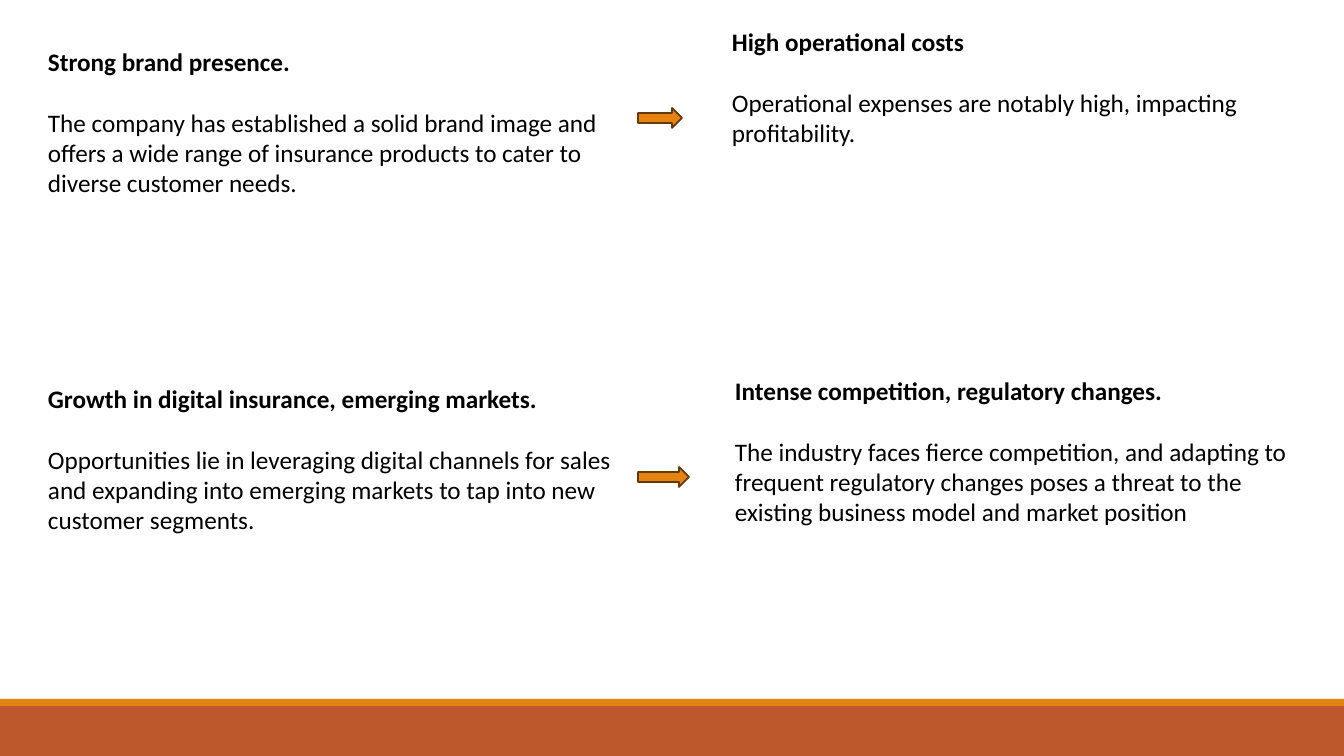
from pptx import Presentation
from pptx.dml.color import RGBColor
from pptx.enum.shapes import MSO_SHAPE
from pptx.enum.text import MSO_ANCHOR, MSO_AUTO_SIZE, PP_ALIGN
from pptx.util import Emu, Pt

SLIDE_WIDTH, SLIDE_HEIGHT = 1344, 756
EMU_PER_PX = 12192000 / SLIDE_WIDTH

BLACK = RGBColor(0x00, 0x00, 0x00)
ORANGE = RGBColor(0xE4, 0x83, 0x12)
RUST = RGBColor(0xBD, 0x58, 0x2C)
BROWN = RGBColor(0x64, 0x39, 0x08)

FONT = "Calibri"
TEXT_SIZE = Pt(18)
HEADING_GAP = Pt(22)

# Left, top, width, height, heading, detail
SWOT_POINTS = [
    (38, 41, 575, 194, "Strong brand presence.",
     "The company has established a solid brand image and offers a wide range "
     "of insurance products to cater to diverse customer needs."),
    (722, 21, 590, 194, "High operational costs",
     "Operational expenses are notably high, impacting profitability."),
    (38, 378, 587, 163, "Growth in digital insurance, emerging markets.",
     "Opportunities lie in leveraging digital channels for sales and expanding "
     "into emerging markets to tap into new customer segments."),
    (725, 370, 587, 163, "Intense competition, regulatory changes.",
     "The industry faces fierce competition, and adapting to frequent regulatory "
     "changes poses a threat to the existing business model and market position"),
]
ARROWS = [(638, 108, 44, 20), (638, 467, 51, 20)]
FOOTER_BARS = [(706, 50, RUST), (699, 7, ORANGE)]


def px(length):
    return Emu(round(length * EMU_PER_PX))


def add_filled_shape(slide, kind, box, fill):
    shape = slide.shapes.add_shape(kind, *map(px, box))
    shape.shadow.inherit = False
    shape.fill.solid()
    shape.fill.fore_color.rgb = fill
    shape.line.fill.background()
    return shape


def add_footer_bar(slide, top, height, color):
    add_filled_shape(slide, MSO_SHAPE.RECTANGLE, (0, top, SLIDE_WIDTH, height), color)


def add_arrow(slide, box):
    arrow = add_filled_shape(slide, MSO_SHAPE.RIGHT_ARROW, box, ORANGE)
    arrow.line.color.rgb = BROWN
    arrow.line.width = Pt(1.25)


def add_run(paragraph, text, bold):
    run = paragraph.add_run()
    run.text = text
    run.font.name = FONT
    run.font.size = TEXT_SIZE
    run.font.bold = bold
    run.font.color.rgb = BLACK


def add_swot_point(slide, box, heading, detail):
    """Add a bold heading with its explanation one line below."""
    frame = slide.shapes.add_textbox(*map(px, box)).text_frame
    frame.word_wrap = True
    frame.auto_size = MSO_AUTO_SIZE.SHAPE_TO_FIT_TEXT
    frame.vertical_anchor = MSO_ANCHOR.TOP
    heading_paragraph = frame.paragraphs[0]
    detail_paragraph = frame.add_paragraph()
    detail_paragraph.space_before = HEADING_GAP
    for paragraph in frame.paragraphs:
        paragraph.alignment = PP_ALIGN.LEFT
    add_run(heading_paragraph, heading, True)
    add_run(detail_paragraph, detail, False)


def main():
    presentation = Presentation()
    presentation.slide_width = px(SLIDE_WIDTH)
    presentation.slide_height = px(SLIDE_HEIGHT)
    slide = presentation.slides.add_slide(presentation.slide_layouts[6])
    for top, height, color in FOOTER_BARS:
        add_footer_bar(slide, top, height, color)
    for *box, heading, detail in SWOT_POINTS:
        add_swot_point(slide, box, heading, detail)
    for box in ARROWS:
        add_arrow(slide, box)
    presentation.save("out.pptx")


if __name__ == "__main__":
    main()
